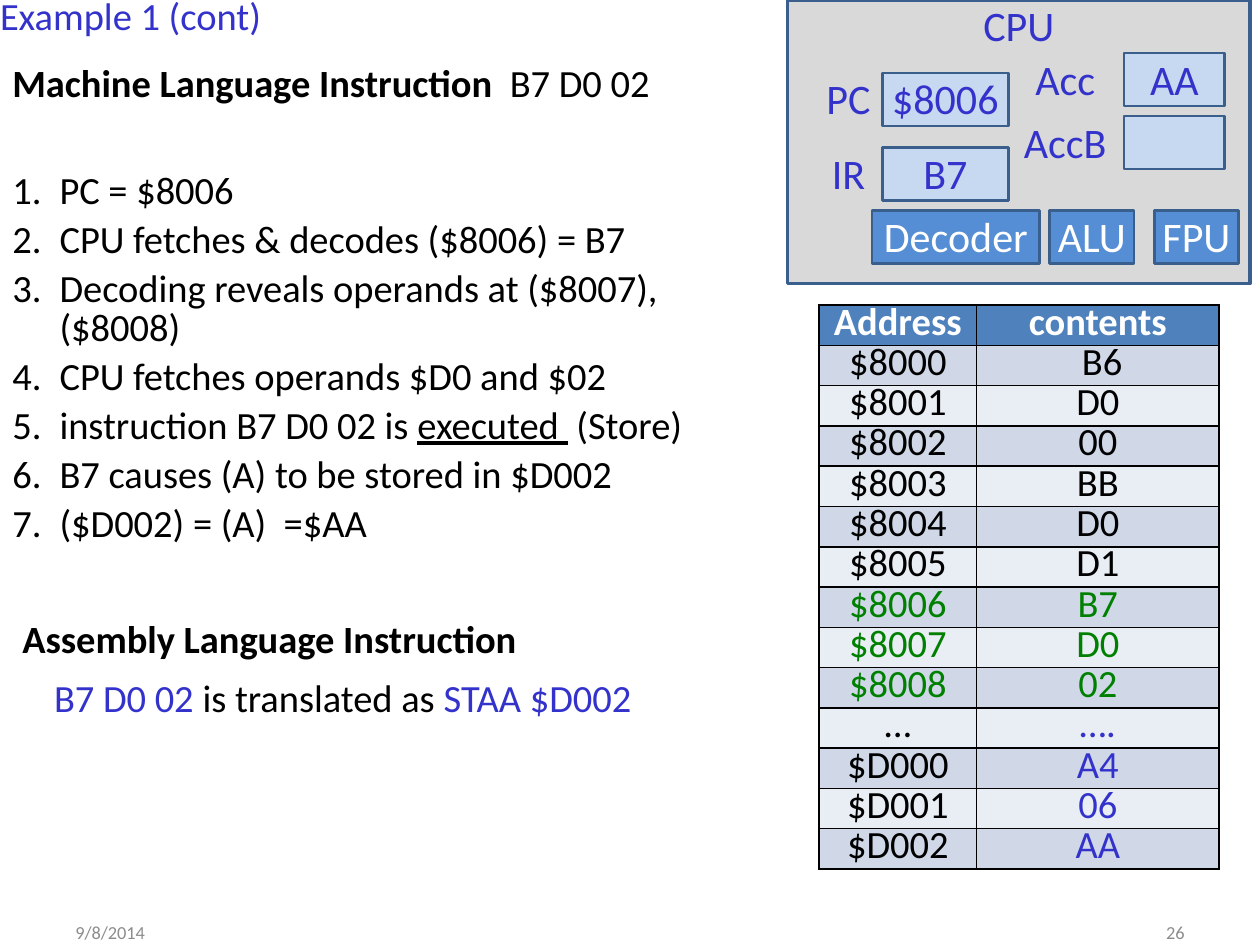
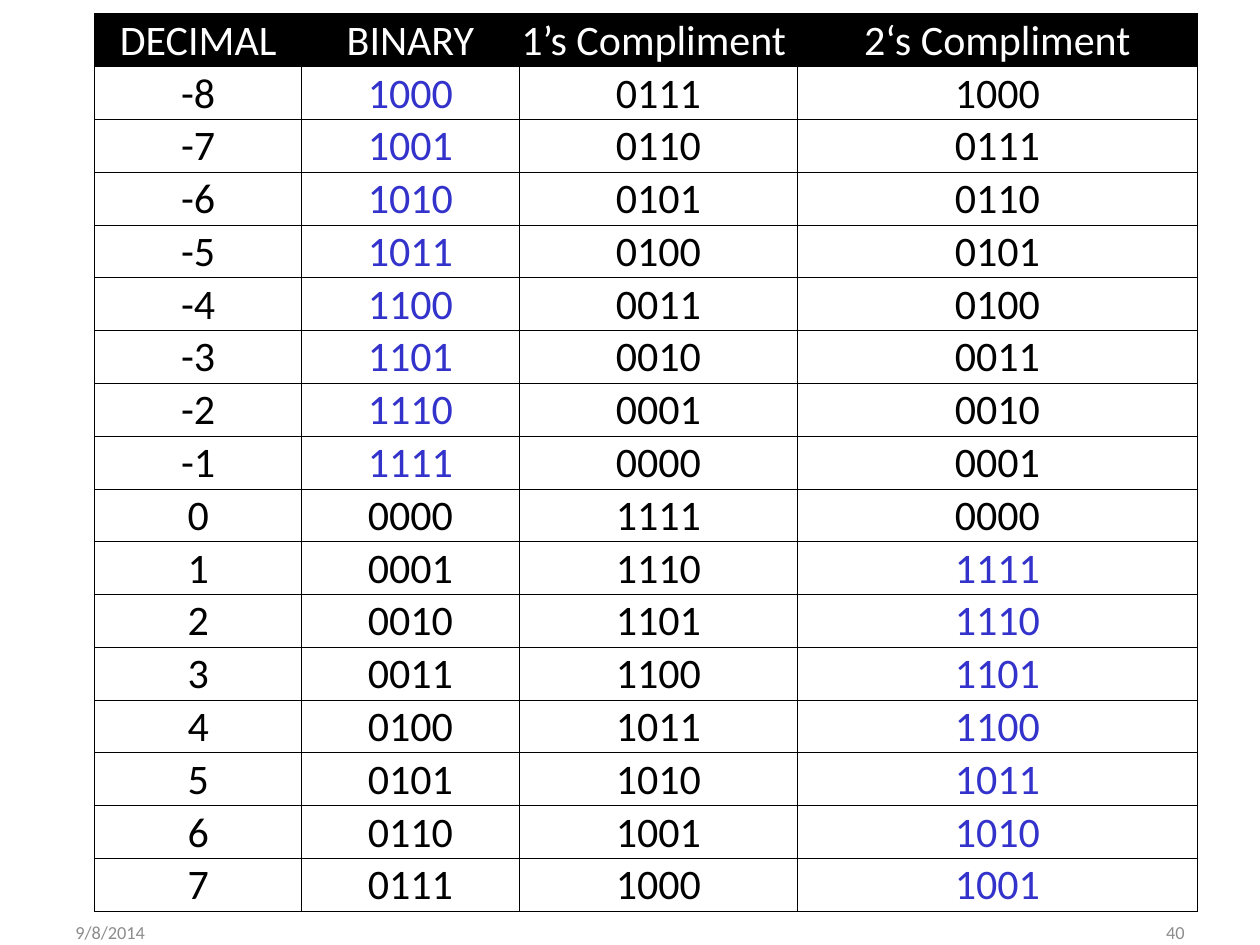
from dataclasses import dataclass

from lxml.etree import SubElement
from pptx import Presentation
from pptx.dml.color import RGBColor
from pptx.enum.shapes import MSO_SHAPE
from pptx.enum.text import MSO_ANCHOR, MSO_AUTO_SIZE, PP_ALIGN
from pptx.oxml.ns import qn
from pptx.util import Cm, Pt


@dataclass(frozen=True)
class Theme:
    font: str = "Calibri"
    black: str = "000000"
    white: str = "FFFFFF"
    blue: str = "3333CC"
    green: str = "008000"
    grey: str = "8C8C8C"
    panel: str = "D9D9D9"
    outline: str = "3A5F8C"
    register: str = "C6D9F1"
    unit: str = "558ED5"
    header: str = "4F81BD"
    dark_band: str = "D0D8E8"
    light_band: str = "E9EDF4"
    large: float = 24
    body: float = 22
    footer: float = 10.5


@dataclass(frozen=True)
class Box:
    left: float
    top: float
    width: float
    height: float

    def inner(self, left, top, width, height):
        return Box(self.left + left, self.top + top, width, height)

    def lengths(self):
        return Cm(self.left), Cm(self.top), Cm(self.width), Cm(self.height)


THEME = Theme()
NO_MARGIN = (0, 0, 0, 0)
TEXT_MARGIN = (0.25, 0.13, 0.25, 0.13)
ROW_MARGIN = (0.03, 0.03, 0.03, 0)


def colour(value):
    return RGBColor.from_string(value)


def write(frame, paragraphs, size=THEME.body, color=THEME.black, bold=False,
          align=PP_ALIGN.LEFT, line=None, before=0, numbered=False):
    for index, runs in enumerate(paragraphs):
        paragraph = frame.add_paragraph() if index else frame.paragraphs[0]
        if numbered:
            properties = paragraph._p.get_or_add_pPr()
            properties.set("marL", str(Cm(0.95)))
            properties.set("indent", str(-Cm(0.95)))
            SubElement(properties, qn("a:buAutoNum"), type="arabicPeriod")
        paragraph.alignment = align
        paragraph.space_before = Pt(before if index else 0)
        if line:
            paragraph.line_spacing = Pt(line)
        for item in [runs] if isinstance(runs, str) else runs:
            text, changes = (item, {}) if isinstance(item, str) else item
            run = paragraph.add_run()
            run.text = text
            run.font.name = THEME.font
            run.font.size = Pt(size)
            run.font.bold = changes.get("bold", bold)
            run.font.color.rgb = colour(changes.get("color", color))
            if changes.get("underline"):
                run.font.underline = True


def set_frame(frame, margins=TEXT_MARGIN, anchor=MSO_ANCHOR.TOP):
    frame.word_wrap = True
    frame.auto_size = MSO_AUTO_SIZE.NONE
    frame.vertical_anchor = anchor
    (frame.margin_left, frame.margin_top,
     frame.margin_right, frame.margin_bottom) = map(Cm, margins)


def place_placeholder(placeholder, box, paragraphs, margins=TEXT_MARGIN, **format):
    placeholder.left, placeholder.top, placeholder.width, placeholder.height = box.lengths()
    set_frame(placeholder.text_frame, margins)
    write(placeholder.text_frame, paragraphs, **format)


def add_text(slide, box, paragraphs, anchor=MSO_ANCHOR.TOP, **format):
    shape = slide.shapes.add_textbox(*box.lengths())
    set_frame(shape.text_frame, anchor=anchor)
    write(shape.text_frame, paragraphs, **format)


def add_block(slide, box, text, fill, color=THEME.blue, line=1.5):
    shape = slide.shapes.add_shape(MSO_SHAPE.RECTANGLE, *box.lengths())
    shape.shadow.inherit = False
    shape.fill.solid()
    shape.fill.fore_color.rgb = colour(fill)
    if line:
        shape.line.color.rgb = colour(THEME.outline)
        shape.line.width = Pt(line)
    else:
        shape.line.fill.background()
    set_frame(shape.text_frame, NO_MARGIN)
    if text:
        write(shape.text_frame, [text], size=THEME.large, color=color,
              align=PP_ALIGN.CENTER)


def add_borders(cell, width):
    properties = cell._tc.get_or_add_tcPr()
    for side in ("lnL", "lnR", "lnT", "lnB"):
        border = SubElement(properties, qn(f"a:{side}"), w=str(Pt(width)))
        fill = SubElement(border, qn("a:solidFill"))
        SubElement(fill, qn("a:srgbClr"), val=THEME.black)


def add_grid(slide, box, widths, rows, fills, border, margins, anchor, **format):
    table = slide.shapes.add_table(len(rows), len(widths), *box.lengths()).table
    table.first_row = table.horz_banding = False
    for column, width in zip(table.columns, widths):
        column.width = Cm(width)
    for row, values, fill in zip(table.rows, rows, fills):
        row.height = Cm(box.height / len(rows))
        for cell, value in zip(row.cells, values):
            add_borders(cell, border)
            cell.fill.solid()
            cell.fill.fore_color.rgb = colour(fill)
            (cell.margin_left, cell.margin_top,
             cell.margin_right, cell.margin_bottom) = map(Cm, margins)
            cell.vertical_anchor = anchor
            write(cell.text_frame, [[value]], align=PP_ALIGN.CENTER, **format)


def add_cpu(slide, box):
    add_block(slide, box, "CPU", THEME.panel, line=2)
    height = 1.07
    registers = [
        ("PC", "$8006", 1.47, 0.69, 1.07, 1.91, 2.54),
        ("IR", "B7", 2.97, 0.69, 1.07, 1.91, 2.54),
        ("AccA", "AA", 1.07, 4.75, 1.69, 6.78, 2.03),
        ("AccB", "", 2.34, 4.75, 1.69, 6.78, 2.03),
    ]
    for label, value, top, label_left, label_width, left, width in registers:
        add_block(slide, box.inner(label_left, top, label_width, height), label,
                  THEME.panel, line=None)
        add_block(slide, box.inner(left, top, width, height), value, THEME.register)
    for unit, left, width in [("Decoder", 1.7, 3.38), ("ALU", 5.28, 1.7), ("FPU", 7.39, 1.7)]:
        add_block(slide, box.inner(left, 4.24, width, height), unit, THEME.unit,
                  color=THEME.white)


def add_memory(slide, box):
    green, blue = {"color": THEME.green}, {"color": THEME.blue}
    heading = {"color": THEME.white, "bold": True}
    program = [" B6", "D0", "00", "BB", "D0", "D1"]
    current = ["B7", "D0", "02"]
    data = [("…", "…."), ("$D000", "A4"), ("$D001", "06"), ("$D002", "AA")]
    rows = [[("Address", heading), ("contents", heading)]]
    rows += [[f"$800{index}", value] for index, value in enumerate(program)]
    rows += [[(f"$800{index}", green), (value, green)]
             for index, value in enumerate(current, len(program))]
    rows += [[address, (value, blue)] for address, value in data]
    bands = [THEME.light_band, THEME.dark_band]
    fills = [THEME.header] + [bands[index % 2] for index in range(1, len(rows))]
    add_grid(slide, box, (3.18, 4.88), rows, fills, 1, NO_MARGIN, MSO_ANCHOR.TOP, line=23)


def add_complements(slide, box):
    def bits(value, highlighted=False):
        return f"{value & 15:04b}", {"color": THEME.blue if highlighted else THEME.black}

    headings = ["DECIMAL", "BINARY", "1’s Compliment ", "2‘s Compliment"]
    rows = [[(heading, {"color": THEME.white}) for heading in headings]]
    rows += [[str(value), bits(value, value < 0), bits(~value), bits(-value, value > 0)]
             for value in range(-8, 8)]
    fills = [THEME.black] + [THEME.white] * 16
    add_grid(slide, box, (4.17, 4.39, 5.61, 8.05), rows, fills, 0.5, ROW_MARGIN,
             MSO_ANCHOR.BOTTOM, size=THEME.large)


def add_footer(slide, box, number):
    width = 5.92
    for left, text, align in [(0, "9/8/2014", PP_ALIGN.LEFT),
                              (box.width - width, number, PP_ALIGN.RIGHT)]:
        add_text(slide, box.inner(left, 0, width, box.height), [text], align=align,
                 anchor=MSO_ANCHOR.MIDDLE, size=THEME.footer, color=THEME.grey)


def add_instruction(slide, box):
    blue = {"color": THEME.blue}
    steps = [
        "PC = $8006",
        "CPU fetches & decodes ($8006) = B7",
        "Decoding reveals operands at ($8007),($8008)",
        "CPU fetches operands $D0 and $02",
        ["instruction B7 D0 02 is ", ("executed ", {"underline": True}), " (Store)"],
        "B7 causes (A) to be stored in $D002",
        "($D002) = (A)  =$AA",
    ]
    place_placeholder(slide.shapes.title, box.inner(0, 0, 17.98, 0.79),
                      ["Example 1 (cont)"], NO_MARGIN, color=THEME.blue, line=22)
    add_text(slide, box.inner(0, 1.07, 15.67, 1.19),
             [[("Machine Language Instruction ", {"bold": True}), " B7 D0 02"]])
    place_placeholder(slide.placeholders[1], box.inner(0, 3.38, 15.67, 7.8), steps,
                      line=22, before=6, numbered=True)
    add_text(slide, box.inner(0.2, 12.27, 15.67, 1.19),
             ["Assembly Language Instruction"], bold=True)
    add_text(slide, box.inner(0.84, 13.46, 13.13, 1.19),
             [[("B7 D0 02", blue), " is translated as ", ("STAA $D002", blue)]])


def main():
    presentation = Presentation()
    presentation.slide_width, presentation.slide_height = Cm(25.4), Cm(19.05)
    footer = Box(1.27, 18.57, 22.86, 0.46)

    example = presentation.slides.add_slide(presentation.slide_layouts[1])
    add_instruction(example, Box(0, 0, 17.98, 14.65))
    add_cpu(example, Box(15.88, 0, 9.32, 5.72))
    add_memory(example, Box(16.51, 6.15, 8.06, 11.34))
    add_footer(example, footer, "26")

    complements = presentation.slides.add_slide(presentation.slide_layouts[6])
    add_complements(complements, Box(1.91, 0.28, 22.22, 18.02))
    add_footer(complements, footer, "40")

    presentation.save("out.pptx")


if __name__ == "__main__":
    main()
